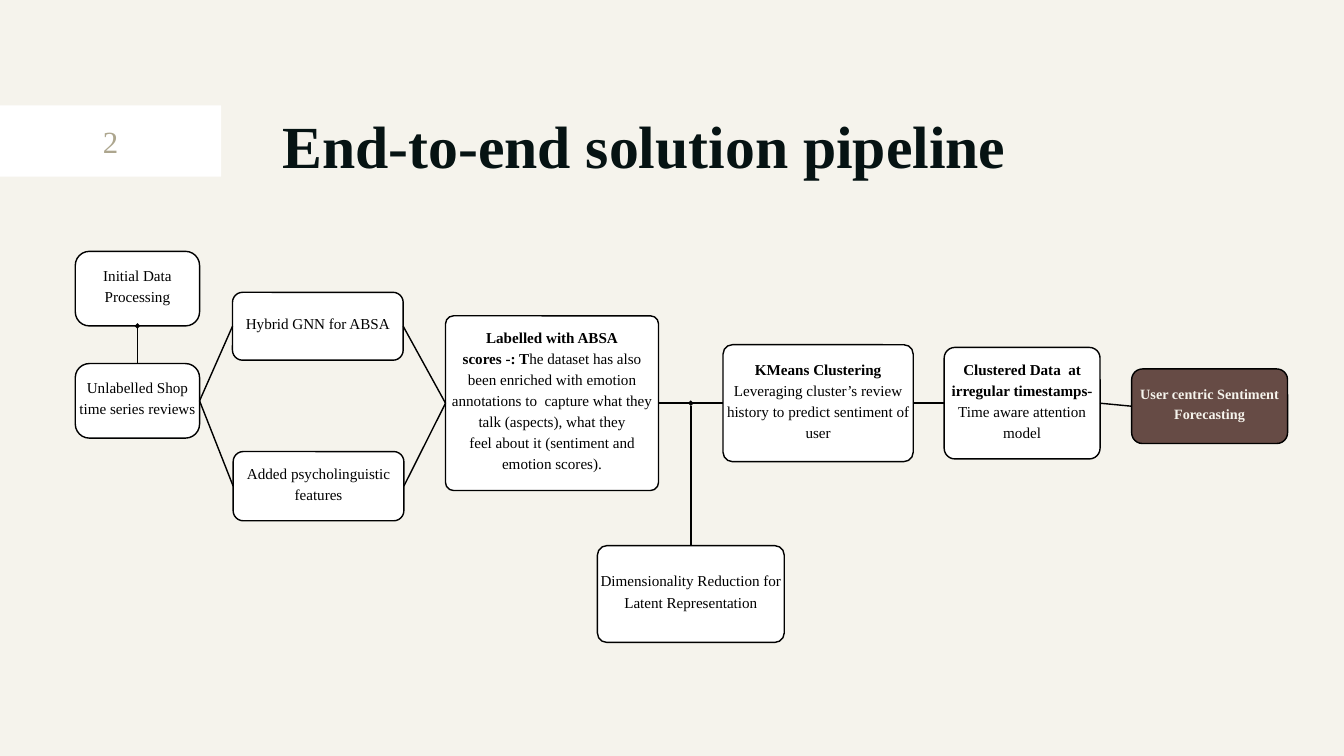
from lxml import etree
from pptx import Presentation
from pptx.dml.color import RGBColor
from pptx.enum import shapes, text
from pptx.oxml import ns
from pptx.util import Inches, Pt

FONT = "Times New Roman"
INK, WHITE, CREAM, BROWN = "000000", "FFFFFF", "F5F3EC", "664B45"
TOP, LEFT, BOTTOM, RIGHT = range(4)

# name: (left, top, width, height, radius, paragraphs of (text, bold) runs)
STEPS = {
    "raw": (1.12, 5.41, 1.85, 1.11, 0.21,
            [[("Unlabelled Shop time series reviews", False)]]),
    "psych": (3.47, 6.72, 2.54, 1.03, 0.15,
              [[("Added psycholinguistic features", False)]]),
    "hybrid": (3.46, 4.35, 2.54, 1.01, 0.15,
               [[("Hybrid GNN for ABSA", False)]]),
    "scores": (6.63, 4.7, 3.17, 2.6, 0.12,
               [[("Labelled with ABSA", True)],
                [("scores -: T", True),
                 ("he dataset has also been enriched with emotion annotations "
                  "to  capture what they talk (aspects), what they", False)],
                [("feel about it (sentiment and emotion scores).", False)]]),
    "reduce": (8.89, 8.12, 2.78, 1.44, 0.14,
               [[("Dimensionality Reduction for Latent Representation", False)]]),
    "kmeans": (10.76, 5.13, 2.83, 1.74, 0.14,
               [[("KMeans Clustering", True)],
                [("Leveraging cluster’s review history to predict sentiment of user",
                  False)]]),
    "times": (14.05, 5.17, 2.32, 1.66, 0.16,
              [[("Clustered Data  at irregular timestamps-", True),
                (" Time aware attention model", False)]]),
    "start": (1.12, 3.74, 1.85, 1.11, 0.21,
              [[("Initial Data Processing", False)]]),
    "goal": (16.84, 5.49, 2.32, 1.11, 0.16,
             [[("User centric Sentiment Forecasting", True)]]),
}

LINKS = [
    ("raw", RIGHT, "hybrid", LEFT), ("raw", RIGHT, "psych", LEFT),
    ("scores", LEFT, "hybrid", RIGHT), ("scores", LEFT, "psych", RIGHT),
    ("kmeans", LEFT, "scores", RIGHT), ("times", LEFT, "kmeans", RIGHT),
    ("goal", LEFT, "times", RIGHT),
]


def color(value):
    """Turn a hex string into a colour."""
    return RGBColor.from_string(value)


def paint(shape, fill, line=None):
    """Set the fill and outline of a shape and drop its shadow."""
    shape.shadow.inherit = False
    shape.fill.solid()
    shape.fill.fore_color.rgb = color(fill)
    if line:
        shape.line.color.rgb = color(line)
        shape.line.width = Pt(1.5)
    else:
        shape.line.fill.background()


def write(frame, paras, size, ink, gap, align, margins, anchor):
    """Fill a text frame with paragraphs of (text, bold) runs."""
    form = {"word_wrap": True, "auto_size": text.MSO_AUTO_SIZE.NONE,
            "vertical_anchor": anchor}
    for side, value in zip(("left", "top", "right", "bottom"), margins):
        form["margin_" + side] = Inches(value)
    for key, value in form.items():
        setattr(frame, key, value)
    for i, runs in enumerate(paras):
        para = frame.paragraphs[0] if i == 0 else frame.add_paragraph()
        para.alignment = align
        para.line_spacing = Pt(gap)
        for words, bold in runs:
            run = para.add_run()
            run.text = words
            for key, value in {"name": FONT, "size": Pt(size), "bold": bold}.items():
                setattr(run.font, key, value)
            run.font.color.rgb = color(ink)


def step(slide, name):
    """Add one rounded box of the pipeline with its text."""
    left, top, width, height, radius, paras = STEPS[name]
    box = slide.shapes.add_shape(shapes.MSO_SHAPE.ROUNDED_RECTANGLE,
                                 *map(Inches, (left, top, width, height)))
    box.adjustments[0] = radius / min(width, height)
    last = name == "goal"
    paint(box, BROWN if last else WHITE, INK)
    size, gap, ink = (15.2, 21.2, CREAM) if last else (16.2, 22.6, INK)
    side = 0.03 - 0.29 * radius
    write(box.text_frame, paras, size, ink, gap, text.PP_ALIGN.CENTER,
          (side, 0, side, 0.12), text.MSO_ANCHOR.MIDDLE)
    return box


def link(slide, start, site, end=None, goal=None, point=(0, 0), dot=False):
    """Join a box to another box or to a point, with an optional diamond."""
    x, y = map(Inches, point)
    line = slide.shapes.add_connector(shapes.MSO_CONNECTOR.STRAIGHT, x, y, x, y)
    line.begin_connect(start, site)
    if end is not None:
        line.end_connect(end, goal)
    line.line.color.rgb = color(INK)
    line.line.width = Pt(1.5)
    if dot:
        etree.SubElement(line.line._get_or_add_ln(), ns.qn("a:tailEnd"), type="diamond")
    etree.SubElement(line._element.spPr, ns.qn("a:effectLst"))


def head(slide):
    """Add the title and the page number on its white strip."""
    strip = slide.shapes.add_shape(shapes.MSO_SHAPE.RECTANGLE, 0, Inches(1.57),
                                   Inches(3.29), Inches(1.06))
    paint(strip, WHITE)
    title = slide.shapes.title
    spots = {"left": 4.2, "top": 1.44, "width": 13.76, "height": 1.19}
    for key, value in spots.items():
        setattr(title, key, Inches(value))
    write(title.text_frame, [[("End-to-end solution pipeline", True)]], 64, "061313",
          89.6, text.PP_ALIGN.LEFT, (0, 0, 0, 0), text.MSO_ANCHOR.TOP)
    page = slide.shapes.add_textbox(*map(Inches, (1.25, 1.74, 0.79, 0.63)))
    write(page.text_frame, [[("2", False)]], 33, "ADA68E", 46.2,
          text.PP_ALIGN.CENTER, (0, 0, 0, 0), text.MSO_ANCHOR.TOP)


def main():
    """Build the slide and save it."""
    deck = Presentation()
    deck.slide_width, deck.slide_height = Inches(20), Inches(11.25)
    slide = deck.slides.add_slide(deck.slide_layouts[5])
    slide.background.fill.solid()
    slide.background.fill.fore_color.rgb = color(CREAM)
    head(slide)
    boxes = {name: step(slide, name) for name in STEPS}
    for start, site, end, goal in LINKS:
        link(slide, boxes[start], site, boxes[end], goal)
    link(slide, boxes["raw"], TOP, boxes["start"], BOTTOM, dot=True)
    link(slide, boxes["reduce"], TOP, point=(10.28, 6), dot=True)
    deck.save("out.pptx")


if __name__ == "__main__":
    main()
